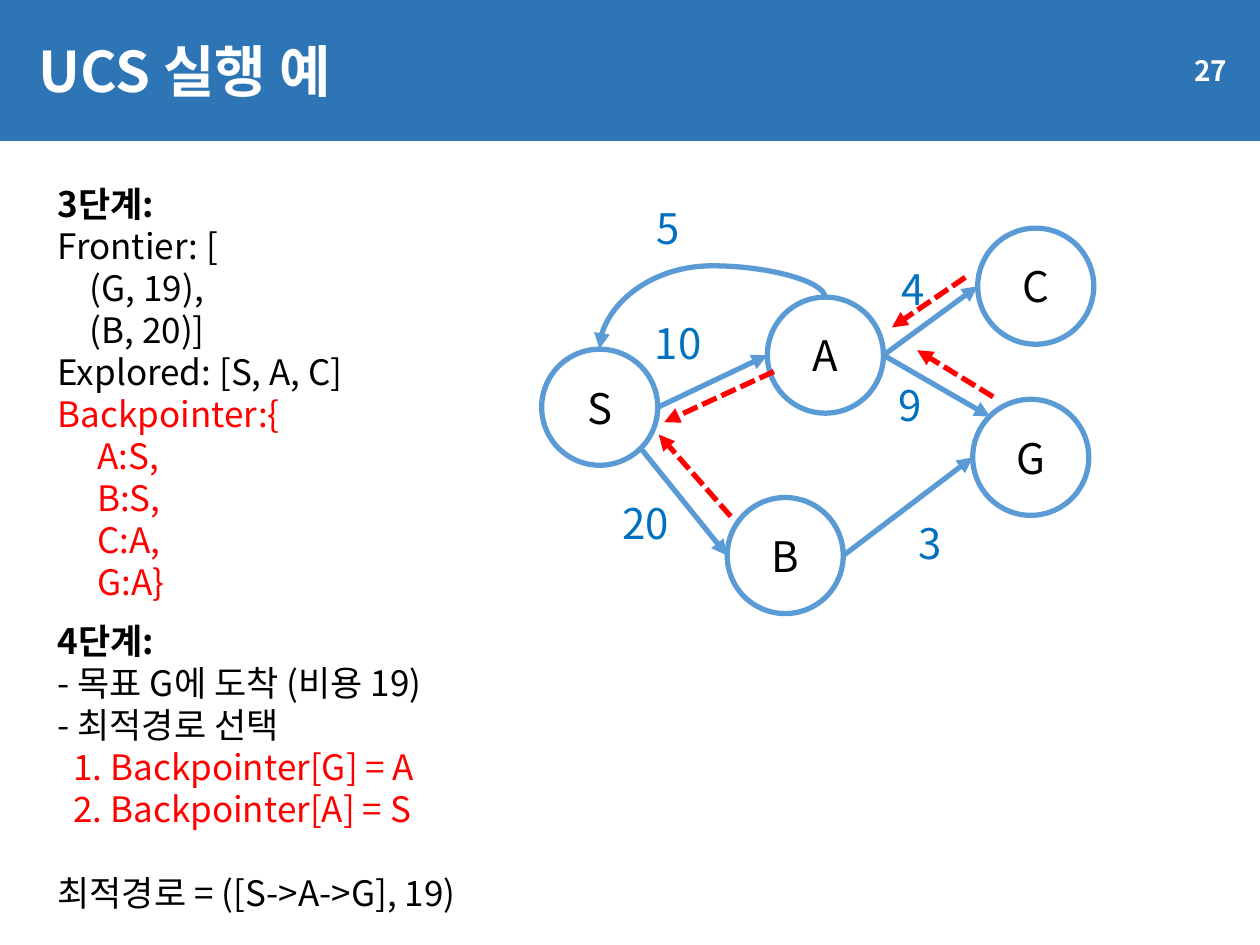
from lxml.etree import SubElement
from pptx import Presentation
from pptx.dml.color import RGBColor
from pptx.enum.dml import MSO_LINE
from pptx.enum.shapes import MSO_CONNECTOR, MSO_SHAPE
from pptx.enum.text import MSO_ANCHOR, PP_ALIGN
from pptx.oxml.ns import qn
from pptx.util import Cm, Pt

FONT = "Noto Sans CJK KR"
BANNER = RGBColor(0x2E, 0x75, 0xB6)
EDGE = RGBColor(0x5B, 0x9B, 0xD5)
COST = RGBColor(0x00, 0x70, 0xC0)
RED = RGBColor(0xFF, 0x00, 0x00)
BLACK = RGBColor(0x00, 0x00, 0x00)
WHITE = RGBColor(0xFF, 0xFF, 0xFF)


def write(frame, text, size=20, color=BLACK, bold=False, align=PP_ALIGN.LEFT, indent=0, before=0):
    paragraph = frame.paragraphs[-1]
    if paragraph.runs:
        paragraph = frame.add_paragraph()
    paragraph.alignment = align
    paragraph.line_spacing = Pt(size * 1.2)
    paragraph.space_before = Pt(before)
    if indent:
        paragraph._p.get_or_add_pPr().set("marL", str(Cm(indent)))
    run = paragraph.add_run()
    run.text = text
    run.font.name = FONT
    run.font.size = Pt(size)
    run.font.bold = bold
    run.font.color.rgb = color
    SubElement(run._r.get_or_add_rPr(), qn("a:ea"), typeface=FONT)


def draw_arrow(start, end, color=EDGE, dash=None, kind=MSO_CONNECTOR.STRAIGHT):
    arrow = slide.shapes.add_connector(kind, *[Cm(value) for value in (*start, *end)])
    arrow.line.color.rgb = color
    arrow.line.width = Pt(3)
    if dash:
        arrow.line.dash_style = dash
    SubElement(arrow.line._get_or_add_ln(), qn("a:tailEnd"), type="triangle")
    SubElement(arrow._element.spPr, qn("a:effectLst"))
    return arrow


presentation = Presentation()
presentation.slide_width = Cm(25.4)
presentation.slide_height = Cm(19.05)
slide = presentation.slides.add_slide(presentation.slide_layouts[6])

banner = slide.shapes.add_shape(MSO_SHAPE.RECTANGLE, 0, 0, Cm(25.4), Cm(2.84))
banner.shadow.inherit = False
banner.fill.solid()
banner.fill.fore_color.rgb = BANNER
banner.line.fill.background()

heading = slide.shapes.add_textbox(Cm(0.53), Cm(0.33), Cm(20.5), Cm(2.16)).text_frame
heading.word_wrap = True
heading.vertical_anchor = MSO_ANCHOR.MIDDLE
write(heading, "UCS 실행 예", size=32, color=WHITE, bold=True)

page_number = slide.shapes.add_textbox(Cm(21.56), Cm(0.91), Cm(3.43), Cm(1.02)).text_frame
page_number.word_wrap = True
page_number.vertical_anchor = MSO_ANCHOR.MIDDLE
write(page_number, "27", size=16, color=WHITE, bold=True, align=PP_ALIGN.RIGHT)

step_three = slide.shapes.add_textbox(Cm(0.91), Cm(3.56), Cm(6.27), Cm(8.81)).text_frame
step_three.word_wrap = False
write(step_three, "3단계:", bold=True)
write(step_three, "Frontier: [")
for entry in ("(G, 19),", "(B, 20)]"):
    write(step_three, entry, indent=0.65)
write(step_three, "Explored: [S, A, C]")
write(step_three, "Backpointer:{", color=RED)
for entry in ("A:S,", "B:S,", "C:A,", "G:A}"):
    write(step_three, entry, color=RED, indent=0.8)

step_four = slide.shapes.add_textbox(Cm(0.91), Cm(12.37), Cm(9.37), Cm(6.25)).text_frame
step_four.word_wrap = False
write(step_four, "4단계:", bold=True)
write(step_four, "- 목표 G에 도착 (비용 19)")
write(step_four, "- 최적경로 선택")
for entry in ("1. Backpointer[G] = A", "2. Backpointer[A] = S"):
    write(step_four, entry, color=RED, indent=0.32)
write(step_four, "최적경로 = ([S->A->G], 19)", before=24)

DIAMETER = 2.34
nodes = {
    "B": (14.66, 10.03),
    "A": (15.47, 5.99),
    "G": (19.61, 8.05),
    "S": (10.92, 7.04),
    "C": (19.71, 4.6),
}
for name, (left, top) in nodes.items():
    node = slide.shapes.add_shape(MSO_SHAPE.OVAL, Cm(left), Cm(top), Cm(DIAMETER), Cm(DIAMETER))
    node.shadow.inherit = False
    node.fill.solid()
    node.fill.fore_color.rgb = WHITE
    node.line.color.rgb = EDGE
    node.line.width = Pt(3)
    label = node.text_frame
    label.margin_left = label.margin_right = label.margin_top = label.margin_bottom = 0
    label.vertical_anchor = MSO_ANCHOR.MIDDLE
    write(label, name, size=24, align=PP_ALIGN.CENTER)

rim = {"left": (0, 0.5), "right": (1, 0.5), "upper left": (0.15, 0.15), "lower right": (0.85, 0.85)}
edges = [
    ("S", "lower right", "B", "left"),
    ("S", "right", "A", "left"),
    ("A", "right", "G", "upper left"),
    ("B", "right", "G", "left"),
    ("A", "right", "C", "left"),
]
for source, source_side, target, target_side in edges:
    start, end = [
        [corner + DIAMETER * share for corner, share in zip(nodes[name], rim[side])]
        for name, side in ((source, source_side), (target, target_side))
    ]
    draw_arrow(start, end)

return_edge = draw_arrow((14.88, 8.79), (13.84, 4.24), kind=MSO_CONNECTOR.CURVE)
return_edge._element.spPr.find(qn("a:xfrm")).set("rot", "16200000")
bend = return_edge._element.spPr.find(qn("a:prstGeom")).find(qn("a:avLst"))
SubElement(bend, qn("a:gd"), name="adj1", fmla="val -61200")

costs = [
    ("9", 17.86, 7.52),
    ("10", 12.95, 6.27),
    ("20", 12.29, 9.91),
    ("4", 17.93, 5.18),
    ("5", 12.98, 3.96),
    ("3", 18.26, 10.31),
]
for value, left, top in costs:
    cost = slide.shapes.add_textbox(Cm(left), Cm(top), Cm(0.5 + 0.47 * len(value)), Cm(1.27)).text_frame
    cost.word_wrap = False
    write(cost, value, size=24, color=COST)

backpointers = [
    ((15.6, 7.49), (13.39, 8.51)),
    ((19.46, 5.59), (17.98, 6.6)),
    ((20.02, 8), (18.49, 7.06)),
    ((14.73, 10.41), (13.28, 8.76)),
]
for start, end in backpointers:
    draw_arrow(start, end, color=RED, dash=MSO_LINE.SQUARE_DOT)

presentation.save("out.pptx")
